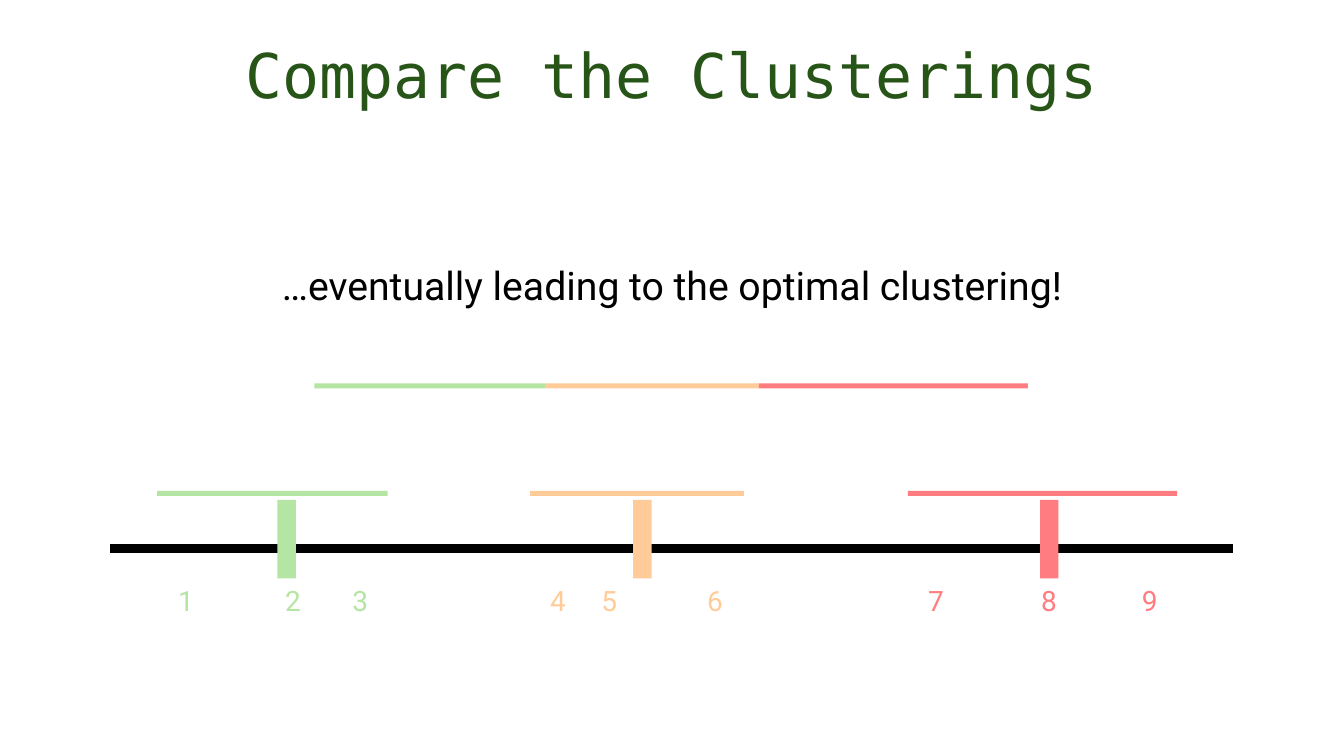
from pptx import Presentation
from pptx.util import Pt
from pptx.dml.color import RGBColor
from pptx.enum.shapes import MSO_CONNECTOR as Connector, MSO_SHAPE as Preset
from pptx.enum.text import MSO_ANCHOR as Anchor, PP_ALIGN as Align
from pptx.oxml.ns import qn
from lxml import etree

TITLE = "Compare the Clusterings"
MESSAGE = "…eventually leading to the optimal clustering!"
CLUSTERS = [
    {"color": "green", "start": 112.2, "width": 164.8, "centroid": 204.8,
     "points": [("1", 132.8), ("2", 209.2), ("3", 257.4)]},
    {"color": "orange", "start": 378.7, "width": 152.7, "centroid": 458.8,
     "points": [("4", 398.5), ("5", 435.2), ("6", 510.8)]},
    {"color": "red", "start": 648.6, "width": 192.3, "centroid": 749.5,
     "points": [("7", 668.5), ("8", 749.2), ("9", 821.2)]},
]
THEME = {
    "green": "B4E5A2", "orange": "FFCC99", "red": "FF7C80",
    "title": "275417", "ink": "000000",
    "title_font": "DejaVu Sans Mono", "body_font": "Roboto",
    "title_size": 44, "message_size": 28, "label_size": 20,
}
CHAIN_LEFT, CHAIN_TOP, SPAN_TOP, SPAN_HEIGHT = 224.5, 273.8, 350.6, 3.6
AXIS_LEFT, AXIS_RIGHT, AXIS_Y, AXIS_WEIGHT = 78.5, 880.5, 391.7, 6
CENTROID_TOP, CENTROID_WIDTH, CENTROID_HEIGHT = 357, 13.2, 56.2
LABEL_TOP, LABEL_WIDTH, LABEL_HEIGHT = 413, 39.6, 31.5


def color(name):
    return RGBColor.from_string(THEME[name])


def add_text(page, text, left, top, width, height, *, size, ink,
             font="body_font", spacing=1.0):
    box = page.shapes.add_textbox(Pt(left), Pt(top), Pt(width), Pt(height))
    box.text_frame.word_wrap = True
    box.text_frame.vertical_anchor = Anchor.TOP
    para = box.text_frame.paragraphs[0]
    para.alignment = Align.CENTER
    para.line_spacing = spacing
    span = para.add_run()
    span.text = text
    span.font.name = THEME[font]
    span.font.size = Pt(THEME[size])
    span.font.color.rgb = color(ink)


def add_bar(page, left, top, width, height, fill):
    bar = page.shapes.add_shape(Preset.RECTANGLE, Pt(left), Pt(top), Pt(width), Pt(height))
    bar.shadow.inherit = False
    bar.fill.solid()
    bar.fill.fore_color.rgb = color(fill)
    bar.line.fill.background()


def add_axis(page):
    axis = page.shapes.add_connector(
        Connector.STRAIGHT, Pt(AXIS_LEFT), Pt(AXIS_Y), Pt(AXIS_RIGHT), Pt(AXIS_Y))
    axis.line.color.rgb = color("ink")
    axis.line.width = Pt(AXIS_WEIGHT)
    etree.SubElement(axis.element.spPr, qn("a:effectLst"))


def main():
    deck = Presentation()
    deck.slide_width, deck.slide_height = Pt(960), Pt(540)
    page = deck.slides.add_slide(deck.slide_layouts[6])

    add_text(page, TITLE, 66, 28.8, 828, 104.4, size="title_size",
             ink="title", font="title_font", spacing=0.9)
    add_text(page, MESSAGE, 147.6, 182.9, 664.6, 41, size="message_size", ink="ink")
    add_axis(page)

    chain_left = CHAIN_LEFT
    for cluster in CLUSTERS:
        shade, width = cluster["color"], cluster["width"]
        add_bar(page, chain_left, CHAIN_TOP, width, SPAN_HEIGHT, shade)
        chain_left += width
        add_bar(page, cluster["start"], SPAN_TOP, width, SPAN_HEIGHT, shade)
        add_bar(page, cluster["centroid"] - CENTROID_WIDTH / 2, CENTROID_TOP,
                CENTROID_WIDTH, CENTROID_HEIGHT, shade)
        for label, center in cluster["points"]:
            add_text(page, label, center - LABEL_WIDTH / 2, LABEL_TOP,
                     LABEL_WIDTH, LABEL_HEIGHT, size="label_size", ink=shade)

    deck.save("out.pptx")


if __name__ == "__main__":
    main()
